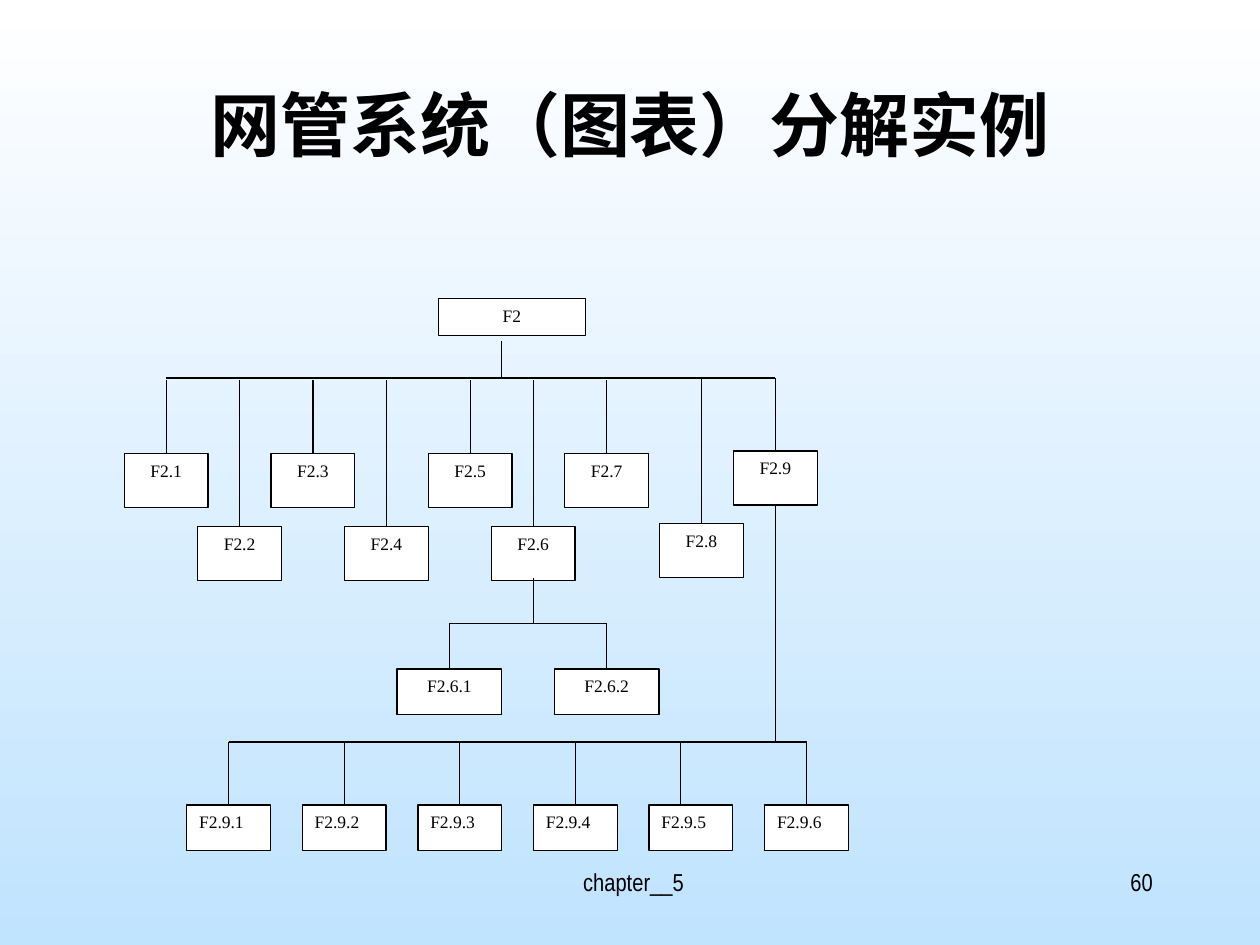
import pptx
import pptx.dml.color
import pptx.enum.shapes
import pptx.enum.text
import pptx.oxml.ns
import pptx.util
from lxml import etree
from pptx.util import Cm, Pt

BLACK = pptx.dml.color.RGBColor(0, 0, 0)
WHITE = pptx.dml.color.RGBColor(255, 255, 255)
SKY = pptx.dml.color.RGBColor(0xC0, 0xE3, 0xFE)
ALIGN = pptx.enum.text.PP_ALIGN
TITLE_FONT = "Noto Sans CJK SC"

# All lengths are in centimetres.
TITLE = "网管系统（图表）分解实例"
FOOTERS = [  # text, left, width, alignment
    (" chapter__5", 8.69, 8.05, ALIGN.CENTER),
    ("60", 18.21, 5.28, ALIGN.RIGHT),
]
ROOT = ("F2", 10.32, 6.02, 2.97, 0.74)  # text, centre, top, width, height
ROOT_STEM = (10.11, 6.88)
ROOT_BUS = 7.62
FUNCTIONS = [  # text, centre, top of box, top of drop line
    ("F2.1", 3.35, 9.14, 7.67),
    ("F2.2", 4.83, 10.62, 7.67),
    ("F2.3", 6.31, 9.14, 7.67),
    ("F2.4", 7.79, 10.62, 7.67),
    ("F2.5", 9.48, 9.14, 7.67),
    ("F2.6", 10.75, 10.62, 7.67),
    ("F2.7", 12.23, 9.14, 7.67),
    ("F2.8", 14.14, 10.56, ROOT_BUS),
    ("F2.9", 15.63, 9.09, ROOT_BUS),
]
FUNCTION_SIZE = (1.69, 1.09)
F26_CHILDREN = [("F2.6.1", 9.06), ("F2.6.2", 12.23)]
F26_STEM, F26_BUS, F26_TOP = (10.75, 11.66), 12.57, 13.49
F26_SIZE = (2.11, 0.91)
F29_DROPS = [4.61, 6.94, 9.27, 11.6, 13.72, 16.26]
F29_FIRST, F29_STEP = 4.61, 2.33
F29_STEM, F29_BUS, F29_TOP = (15.63, 10.18), 14.96, 16.23
F29_SIZE = (1.69, 0.91)


def write(shape, text, size, font, align):
    frame = shape.text_frame
    frame.word_wrap = True
    frame.vertical_anchor = pptx.enum.text.MSO_ANCHOR.TOP
    para = frame.paragraphs[0]
    para.text = text
    para.alignment = align
    para.font.size = Pt(size)
    para.font.name = font
    para.font.color.rgb = BLACK
    return para


def add_box(page, text, centre, top, width, height, align=ALIGN.CENTER):
    box = page.shapes.add_shape(
        pptx.enum.shapes.MSO_SHAPE.RECTANGLE,
        Cm(centre - width / 2), Cm(top), Cm(width), Cm(height))
    box.shadow.inherit = False
    box.fill.solid()
    box.fill.fore_color.rgb = WHITE
    box.line.color.rgb = BLACK
    box.line.width = Pt(0.75)
    write(box, text, 10, "Times New Roman", align)


def add_line(page, x1, y1, x2, y2):
    line = page.shapes.add_connector(
        pptx.enum.shapes.MSO_CONNECTOR.STRAIGHT, Cm(x1), Cm(y1), Cm(x2), Cm(y2))
    line.line.color.rgb = BLACK
    line.line.width = Pt(0.75)
    etree.SubElement(line._element.spPr, pptx.oxml.ns.qn("a:effectLst"))


def add_branch(page, stem, bus, drops):
    """Draw a stem down to a horizontal bus, then drops given as (x, top, bottom)."""
    add_line(page, *stem, stem[0], bus)
    add_line(page, drops[0][0], bus, drops[-1][0], bus)
    for x, top, bottom in drops:
        add_line(page, x, top, x, bottom)


def main():
    deck = pptx.Presentation()
    deck.slide_width, deck.slide_height = Cm(25.4), Cm(19.05)
    page = deck.slides.add_slide(deck.slide_layouts[5])

    fill = page.background.fill
    fill.gradient()
    fill.gradient_angle = 270
    for stop, color, position in zip(fill.gradient_stops, (WHITE, SKY), (0, 1)):
        stop.color.rgb = color
        stop.position = position

    title = page.shapes.title
    title.left, title.top, title.width, title.height = Cm(1.9), Cm(1.7), Cm(21.6), Cm(3.18)
    para = write(title, TITLE, 40, TITLE_FONT, ALIGN.CENTER)
    para.line_spacing = 0.9
    para.font.bold = True
    span = para.runs[0]
    span.font.name = TITLE_FONT
    east_asian = etree.SubElement(span.font._element, pptx.oxml.ns.qn("a:ea"))
    east_asian.set("typeface", TITLE_FONT)

    for text, left, width, align in FOOTERS:
        footer = page.shapes.add_textbox(Cm(left), Cm(17.35), Cm(width), Cm(1.27))
        write(footer, text, 14, "Arial Narrow", align)

    add_box(page, *ROOT)
    for text, centre, top, _ in FUNCTIONS:
        add_box(page, text, centre, top, *FUNCTION_SIZE)
    for text, centre in F26_CHILDREN:
        add_box(page, text, centre, F26_TOP, *F26_SIZE)
    for index in range(len(F29_DROPS)):
        add_box(page, f"F2.9.{index + 1}", F29_FIRST + index * F29_STEP,
                F29_TOP, *F29_SIZE, ALIGN.JUSTIFY)

    add_branch(page, ROOT_STEM, ROOT_BUS,
               [(x, start, top) for _, x, top, start in FUNCTIONS])
    add_branch(page, F26_STEM, F26_BUS,
               [(x, F26_BUS, F26_TOP) for _, x in F26_CHILDREN])
    add_branch(page, F29_STEM, F29_BUS,
               [(x, F29_BUS, F29_TOP) for x in F29_DROPS])

    deck.save("out.pptx")


if __name__ == "__main__":
    main()
